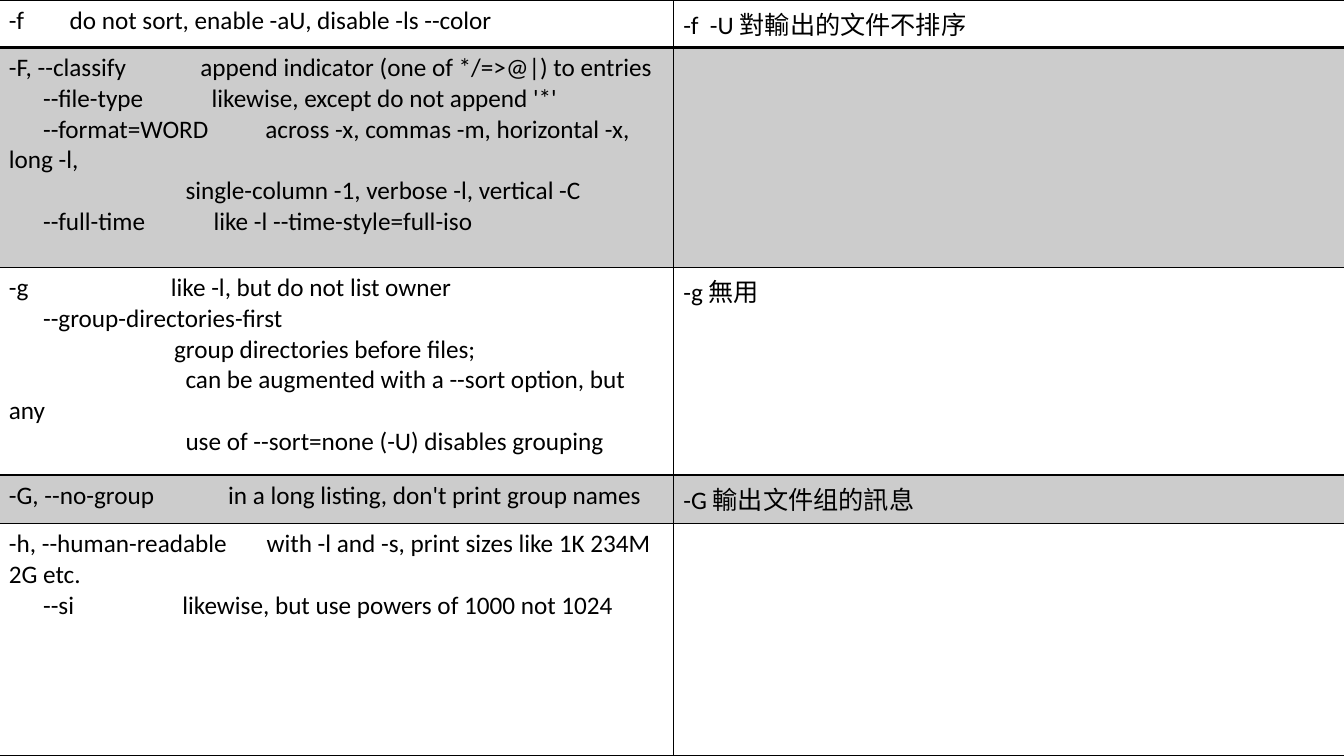
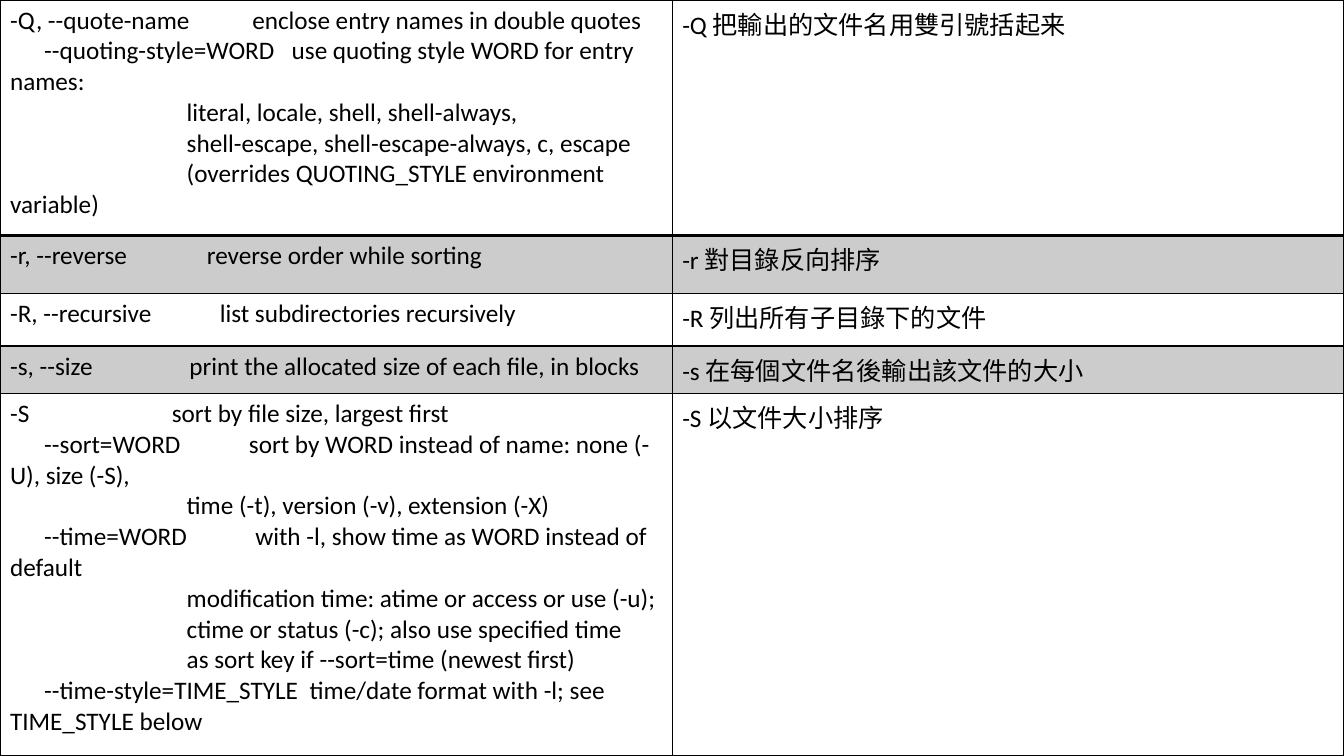
from lxml import etree
from pptx import Presentation
from pptx import util as u
from pptx.dml.color import RGBColor
from pptx.oxml import ns

BLACK = RGBColor(0, 0, 0)
FONT = "Calibri"
SHADE_ALPHA = 20
THIN, THICK = 1, 2
SPACE_PT = 4.07
OPTION, NOTE = 6, 31
DESCRIPTION, MIN_GAP = 27, 2

SLIDES = [
    dict(left=-0.03, cols=(17, 16.94), rows=[
        (1.2, [(0, "-f", "do not sort, enable -aU, disable -ls --color", 10)],
         "-f  -U 對輸出的文件不排序"),
        (5.54, [
            (0, "-F, --classify", "append indicator (one of */=>@|) to entries"),
            (OPTION, "--file-type", "likewise, except do not append '*'"),
            (OPTION, "--format=WORD", "across -x, commas -m, horizontal -x, long -l,"),
            (NOTE, "single-column -1, verbose -l, vertical -C"),
            (OPTION, "--full-time", "like -l --time-style=full-iso")],
         ""),
        (5.23, [
            (0, "-g", "like -l, but do not list owner"),
            (OPTION, "--group-directories-first"),
            (NOTE - 2, "group directories before files;"),
            (NOTE, "can be augmented with a --sort option, but any"),
            (NOTE, "use of --sort=none (-U) disables grouping")],
         "-g 無用"),
        (1.22, [(0, "-G, --no-group", "in a long listing, don't print group names")],
         "-G 輸出文件组的訊息"),
        (5.86, [
            (0, "-h, --human-readable", "with -l and -s, print sizes like 1K 234M 2G etc."),
            (OPTION, "--si", "likewise, but use powers of 1000 not 1024")],
         ""),
    ]),
    dict(left=0, cols=(16.94, 16.93), rows=[
        (5.93, [
            (0, "-Q, --quote-name", "enclose entry names in double quotes"),
            (OPTION, "--quoting-style=WORD", "use quoting style WORD for entry names:"),
            (NOTE, "literal, locale, shell, shell-always,"),
            (NOTE, "shell-escape, shell-escape-always, c, escape"),
            (NOTE, "(overrides QUOTING_STYLE environment variable)")],
         "-Q 把輸出的文件名用雙引號括起来"),
        (1.47, [(0, "-r, --reverse", "reverse order while sorting")],
         "-r 對目錄反向排序"),
        (1.32, [(0, "-R, --recursive", "list subdirectories recursively")],
         "-R 列出所有子目錄下的文件"),
        (1.2, [(0, "-s, --size", "print the allocated size of each file, in blocks")],
         "-s 在每個文件名後輸出該文件的大小"),
        (9.13, [
            (0, "-S", "sort by file size, largest first"),
            (OPTION, "--sort=WORD", "sort by WORD instead of name: none (-U), size (-S),"),
            (NOTE, "time (-t), version (-v), extension (-X)"),
            (OPTION, "--time=WORD", "with -l, show time as WORD instead of default"),
            (NOTE, "modification time: atime or access or use (-u);"),
            (NOTE, "ctime or status (-c); also use specified time"),
            (NOTE, "as sort key if --sort=time (newest first)"),
            (OPTION, "--time-style=TIME_STYLE", "time/date format with -l; see TIME_STYLE below")],
         "-S 以文件大小排序"),
    ]),
]


def child(parent, tag, **attrs):
    return etree.SubElement(parent, ns.qn(tag), {k: str(v) for k, v in attrs.items()})


def write(p, text, size=18, color=BLACK, spacing=0):
    r = p.add_run()
    r.text = text
    r.font.name, r.font.size = FONT, u.Pt(size)
    r.font.color.rgb = color
    if spacing:
        r._r.get_or_add_rPr().set("spc", str(round(spacing * 100)))


def write_line(p, indent, option, description="", column=DESCRIPTION):
    pPr = p._p.get_or_add_pPr()
    pPr.set("marL", "0")
    pPr.set("indent", str(u.Pt(indent * SPACE_PT)))
    if option:
        write(p, option)
    if description:
        if indent:
            column += 2
        gap = max(MIN_GAP, column - indent - len(option))
        write(p, " ", spacing=(gap - 1) * SPACE_PT)
        write(p, description)


def set_borders(cell, top, bottom):
    tcPr = cell._tc.get_or_add_tcPr()
    sides = (("L", THIN), ("R", THIN), ("T", top), ("B", bottom))
    for i, (side, width) in enumerate(sides):
        ln = etree.Element(ns.qn("a:ln" + side), w=str(u.Pt(width)))
        child(child(ln, "a:solidFill"), "a:srgbClr", val=BLACK)
        tcPr.insert(i, ln)


def set_fill(cell, shaded):
    if not shaded:
        cell.fill.background()
        return
    cell.fill.solid()
    cell.fill.fore_color.rgb = BLACK
    clr = cell._tc.tcPr.find(ns.qn("a:solidFill"))[0]
    child(clr, "a:alpha", val=SHADE_ALPHA * 1000)


def add_option_table(s, left, cols, rows):
    height = sum(row[0] for row in rows)
    table = s.shapes.add_table(len(rows), len(cols), u.Cm(left), 0,
                               u.Cm(sum(cols)), u.Cm(height)).table
    table.first_row = table.horz_banding = False
    for column, width in zip(table.columns, cols):
        column.width = u.Cm(width)
    for i, (row_height, lines, meaning) in enumerate(rows):
        table.rows[i].height = u.Cm(row_height)
        for j, content in enumerate((lines, [(0, meaning)])):
            cell = table.cell(i, j)
            tf = cell.text_frame
            for n, line in enumerate(content):
                p = tf.add_paragraph() if n else tf.paragraphs[0]
                write_line(p, *line)
            set_fill(cell, shaded=i % 2 == 1)
            set_borders(cell, top=THICK if i == 1 else THIN,
                        bottom=THICK if i == 0 else THIN)


prs = Presentation()
prs.slide_width, prs.slide_height = u.Cm(33.87), u.Cm(19.05)
for content in SLIDES:
    add_option_table(prs.slides.add_slide(prs.slide_layouts[6]), **content)
prs.save("out.pptx")
